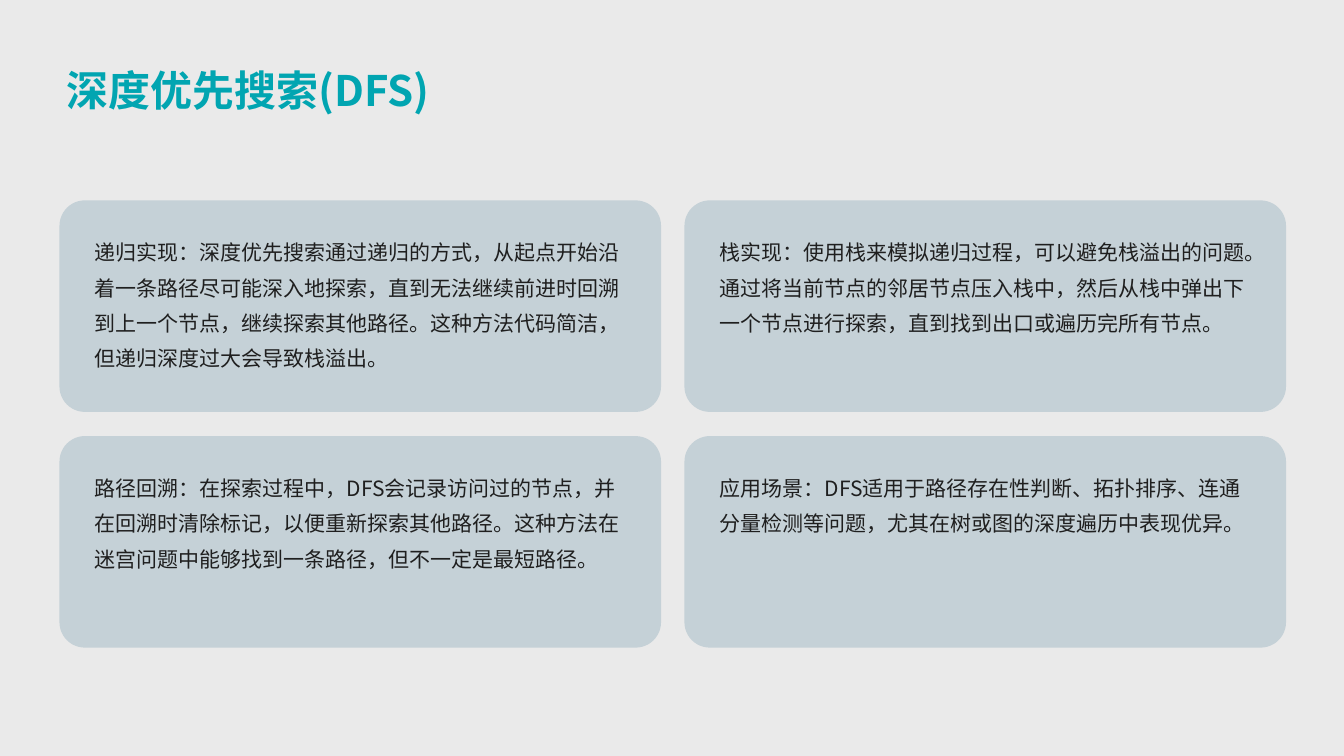
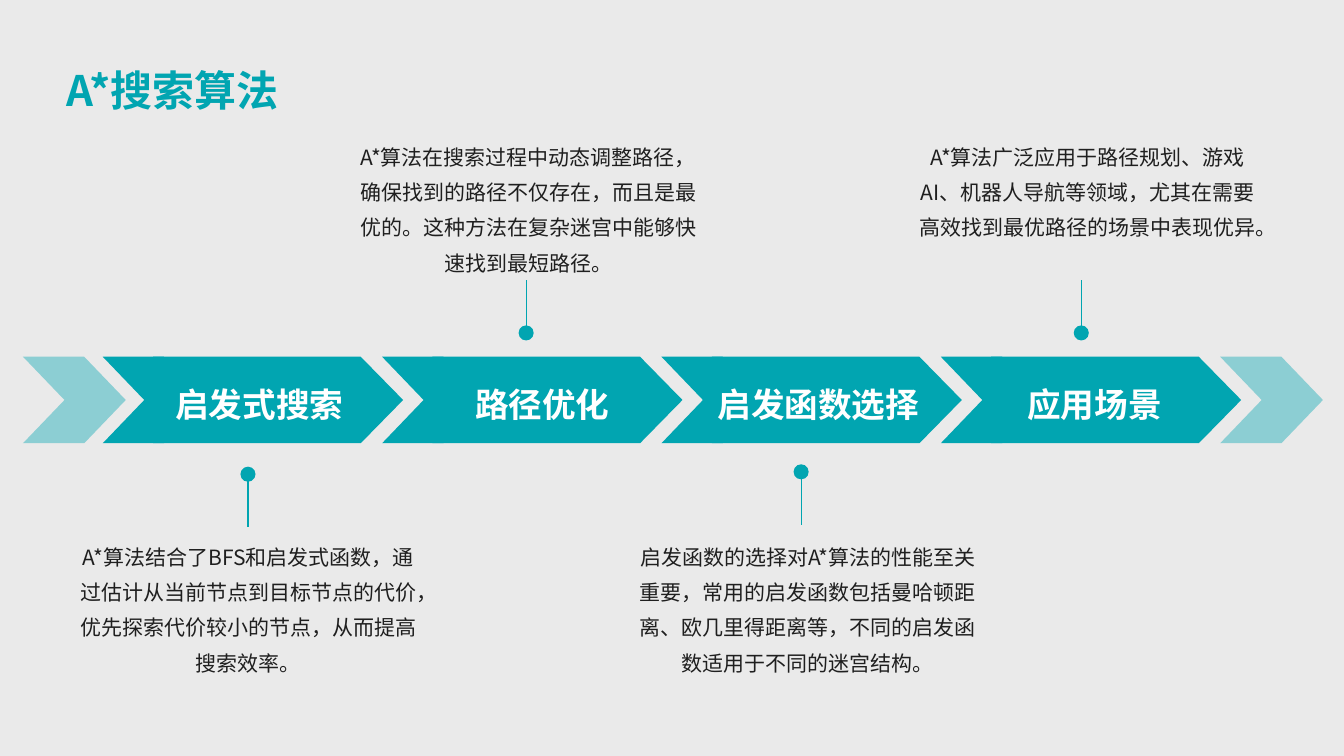
from dataclasses import dataclass

from lxml.etree import SubElement
from pptx import Presentation
from pptx.dml.color import RGBColor
from pptx.enum.shapes import MSO_CONNECTOR, MSO_SHAPE
from pptx.enum.text import MSO_ANCHOR, PP_ALIGN
from pptx.oxml.ns import qn
from pptx.util import Cm, Pt

FONT = "Noto Sans CJK SC"
BACKGROUND = RGBColor(0xEA, 0xEA, 0xEA)
TEAL = RGBColor(0x01, 0xA5, 0xB1)
CARD = RGBColor(0xC5, 0xD1, 0xD7)
INK = RGBColor(0x1F, 0x1F, 0x1F)
WHITE = RGBColor(0xFF, 0xFF, 0xFF)

CARD_LEFT, CARD_TOP = 1.5, 5.05
CARD_WIDTH, CARD_HEIGHT = 15.16, 5.33
CARD_STEP_X, CARD_STEP_Y = 15.75, 5.94
CARD_PAD_X, CARD_PAD_Y = 0.71, 0.64

BAND_TOP, BAND_HEIGHT = 8.99, 2.18
CHEVRON_WIDTH, CHEVRON_NOTCH = 2.59, 0.48
ARROW_LEFT, ARROW_STEP = 2.59, 7.04
BODY_OFFSET, BODY_WIDTH = 1.27, 6.3
NOTE_LEFT, NOTE_STEP = 1.6, 7.05
NOTE_TOP_ABOVE, NOTE_TOP_BELOW = 3.23, 13.31
DOT_SIZE, STEM_LENGTH = 0.38, 1.33
LABEL_INSETS = (0.3, 0.15, 0.3, 0.15)

CARDS = [
    "递归实现：深度优先搜索通过递归的方式，从起点开始沿着一条路径尽可能深入地探索，直到无法继续前进时回溯到上一个节点，继续探索其他路径。这种方法代码简洁，但递归深度过大会导致栈溢出。",
    "栈实现：使用栈来模拟递归过程，可以避免栈溢出的问题。通过将当前节点的邻居节点压入栈中，然后从栈中弹出下一个节点进行探索，直到找到出口或遍历完所有节点。",
    "路径回溯：在探索过程中，DFS会记录访问过的节点，并在回溯时清除标记，以便重新探索其他路径。这种方法在迷宫问题中能够找到一条路径，但不一定是最短路径。",
    "应用场景：DFS适用于路径存在性判断、拓扑排序、连通分量检测等问题，尤其在树或图的深度遍历中表现优异。",
]


@dataclass
class Stage:
    """One step of the arrow band with its pinned note."""

    label: str
    label_left: float
    pin_x: float
    pin_y: float
    note: str


STAGES = [
    Stage("启发式搜索", 3.18, 6.25, 11.95,
          "A*算法结合了BFS和启发式函数，通过估计从当前节点到目标节点的代价，优先探索代价较小的节点，从而提高搜索效率。"),
    Stage("路径优化", 10.31, 13.26, 8.39,
          "A*算法在搜索过程中动态调整路径，确保找到的路径不仅存在，而且是最优的。这种方法在复杂迷宫中能够快速找到最短路径。"),
    Stage("启发函数选择", 17.27, 20.19, 11.89,
          "启发函数的选择对A*算法的性能至关重要，常用的启发函数包括曼哈顿距离、欧几里得距离等，不同的启发函数适用于不同的迷宫结构。"),
    Stage("应用场景", 24.23, 27.25, 8.39,
          "A*算法广泛应用于路径规划、游戏AI、机器人导航等领域，尤其在需要高效找到最优路径的场景中表现优异。"),
]


def add_text(page, area, text, size, color, insets, bold=False, spacing=1.4,
             align=PP_ALIGN.LEFT, anchor=MSO_ANCHOR.TOP):
    """Add a wrapped text box holding one paragraph."""
    box = page.shapes.add_textbox(*map(Cm, area))
    frame = box.text_frame
    frame.word_wrap = True
    frame.vertical_anchor = anchor
    (frame.margin_left, frame.margin_top,
     frame.margin_right, frame.margin_bottom) = map(Cm, insets)
    para = frame.paragraphs[0]
    para.alignment = align
    para.line_spacing = spacing
    span = para.add_run()
    span.text = text
    span.font.name = FONT
    span.font.size = Pt(size)
    span.font.bold = bold
    span.font.color.rgb = color
    properties = span.font._element
    properties.set("lang", "zh-CN")
    SubElement(properties, qn("a:ea")).set("typeface", FONT)


def add_filled(page, kind, area, color, adjustment=None, opacity=None):
    """Add a flat preset shape without outline."""
    shape = page.shapes.add_shape(kind, *map(Cm, area))
    shape.shadow.inherit = False
    shape.fill.solid()
    shape.fill.fore_color.rgb = color
    shape.line.fill.background()
    if adjustment is not None:
        shape.adjustments[0] = adjustment
    if opacity is not None:
        tint = shape._element.spPr.find(qn("a:solidFill"))[0]
        SubElement(tint, qn("a:alpha")).set("val", str(opacity * 1000))


def add_title(page, text):
    """Add the shared slide title."""
    add_text(page, (1.32, 0.74, 31.22, 2.54), text, 30, TEAL,
             (0.36, 0.36, 0.15, 0.36), bold=True, anchor=MSO_ANCHOR.MIDDLE)


def add_card(page, index, text):
    """Add a rounded card at its place in the two-column grid."""
    row, column = divmod(index, 2)
    left = CARD_LEFT + column * CARD_STEP_X
    top = CARD_TOP + row * CARD_STEP_Y
    add_filled(page, MSO_SHAPE.ROUNDED_RECTANGLE,
               (left, top, CARD_WIDTH, CARD_HEIGHT), CARD, 0.12)
    add_text(page, (left + CARD_PAD_X, top + CARD_PAD_Y,
                    CARD_WIDTH - 2 * CARD_PAD_X, CARD_HEIGHT - 2 * CARD_PAD_Y),
             text, 15, INK, (0.18, 0.1, 0.18, 0.1))


def add_chevron(page, left, opacity=None):
    """Add a chevron on the arrow band."""
    add_filled(page, MSO_SHAPE.CHEVRON,
               (left, BAND_TOP, CHEVRON_WIDTH, BAND_HEIGHT), TEAL,
               CHEVRON_NOTCH, opacity)


def add_pin(page, x, y, direction):
    """Add a dot with a stem running up (-1) or down (1) to its note."""
    stem = page.shapes.add_connector(
        MSO_CONNECTOR.STRAIGHT, Cm(x), Cm(y), Cm(x), Cm(y + direction * STEM_LENGTH))
    stem.line.color.rgb = TEAL
    stem.line.width = Pt(0.75)
    SubElement(stem._element.spPr, qn("a:effectLst"))
    add_filled(page, MSO_SHAPE.OVAL,
               (x - DOT_SIZE / 2, y - DOT_SIZE / 2, DOT_SIZE, DOT_SIZE), TEAL)


def add_stage(page, index, stage):
    """Add one arrow with its label, pin and note."""
    left = ARROW_LEFT + index * ARROW_STEP
    add_chevron(page, left)
    add_filled(page, MSO_SHAPE.PENTAGON,
               (left + BODY_OFFSET, BAND_TOP, BODY_WIDTH, BAND_HEIGHT), TEAL, 0.49)
    add_text(page, (stage.label_left, 9.5, 6.71, 1.14), stage.label, 24, WHITE,
             LABEL_INSETS, bold=True, spacing=1.2, align=PP_ALIGN.CENTER,
             anchor=MSO_ANCHOR.MIDDLE)
    above = stage.pin_y < BAND_TOP
    add_pin(page, stage.pin_x, stage.pin_y, -1 if above else 1)
    note_top = NOTE_TOP_ABOVE if above else NOTE_TOP_BELOW
    add_text(page, (NOTE_LEFT + index * NOTE_STEP, note_top, 9.32, 4.01),
             stage.note, 15, INK, LABEL_INSETS, align=PP_ALIGN.CENTER)


def add_page(deck, title):
    """Add a blank page with its title."""
    page = deck.slides.add_slide(deck.slide_layouts[6])
    add_title(page, title)
    return page


def build_depth_first(deck):
    """Build the page on depth-first search."""
    page = add_page(deck, "深度优先搜索(DFS)")
    for index, text in enumerate(CARDS):
        add_card(page, index, text)


def build_a_star(deck):
    """Build the page on the A* algorithm."""
    page = add_page(deck, "A*搜索算法")
    add_chevron(page, 0.58, opacity=40)
    for index, stage in enumerate(STAGES):
        add_stage(page, index, stage)
    add_chevron(page, ARROW_LEFT + len(STAGES) * ARROW_STEP, opacity=40)


def main():
    """Build and save the deck."""
    deck = Presentation()
    deck.slide_width, deck.slide_height = Cm(33.87), Cm(19.05)
    fill = deck.slide_master.background.fill
    fill.solid()
    fill.fore_color.rgb = BACKGROUND
    build_depth_first(deck)
    build_a_star(deck)
    deck.save("out.pptx")


if __name__ == "__main__":
    main()
